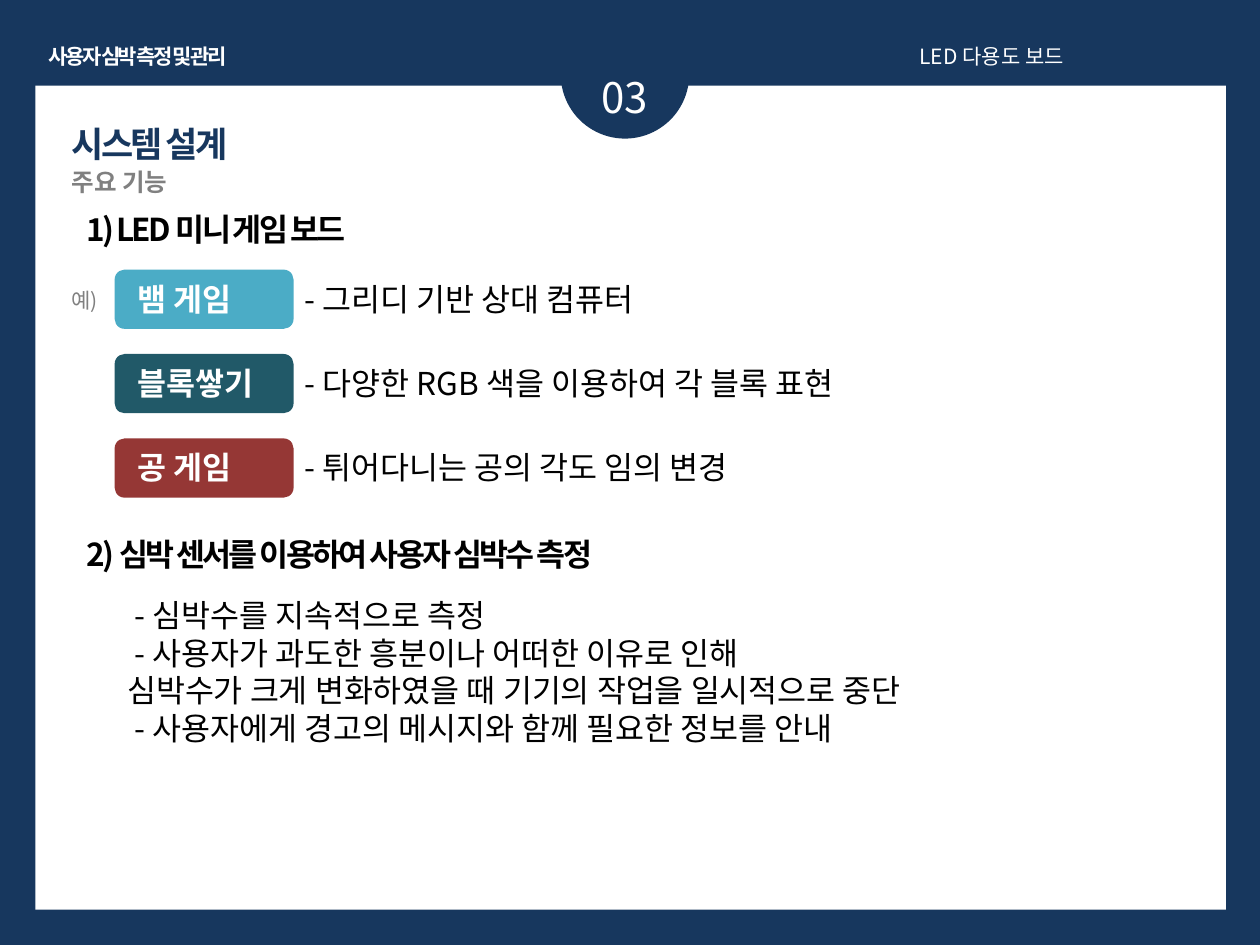
from dataclasses import dataclass

from pptx import Presentation
from pptx.dml.color import RGBColor
from pptx.enum.shapes import MSO_SHAPE
from pptx.enum.text import PP_ALIGN
from pptx.oxml.ns import qn
from pptx.util import Inches, Pt
from lxml.etree import SubElement


@dataclass(frozen=True)
class Theme:
    navy: str = "17375E"
    white: str = "FFFFFF"
    black: str = "000000"
    gray: str = "808080"
    aqua: str = "4BACC6"
    teal: str = "215968"
    red: str = "953735"
    font: str = "Noto Sans CJK KR"
    title_font: str = "Arial"
    number_size: int = 24
    title_size: int = 20
    body_size: int = 18
    subtitle_size: int = 14
    small_size: int = 12
    tight: float = -1.5
    line_height: float = 1.2


THEME = Theme()


def add_block(page, kind, box, color):
    block = page.shapes.add_shape(kind, *map(Inches, box))
    block.shadow.inherit = False
    block.fill.solid()
    block.fill.fore_color.rgb = RGBColor.from_string(color)
    block.line.fill.background()
    return block


def add_text(page, text, box, size=THEME.body_size, color=THEME.black, bold=False,
             font=THEME.font, align=PP_ALIGN.LEFT, spacing=0, wrap=True):
    """Write one paragraph per line; lines that open with a dash get a small indent."""
    frame = page.shapes.add_textbox(*map(Inches, box)).text_frame
    frame.word_wrap = wrap
    frame.margin_top = Inches(0.05)
    lines = text.split("\n")
    for index, line in enumerate(lines):
        para = frame.add_paragraph() if index else frame.paragraphs[0]
        para.alignment = align
        para.line_spacing = Pt(size * THEME.line_height)
        if len(lines) > 1 and line.startswith("-"):
            para._p.get_or_add_pPr().set("marL", str(Inches(0.06)))
        span = para.add_run()
        span.text = line
        span.font.size = Pt(size)
        span.font.bold = bold
        span.font.name = font
        span.font.color.rgb = RGBColor.from_string(color)
        properties = span._r.get_or_add_rPr()
        SubElement(properties, qn("a:ea")).set("typeface", THEME.font)
        if spacing:
            properties.set("spc", str(int(spacing * 100)))


def add_frame(page):
    # Navy border, white panel and number tab
    page.background.fill.solid()
    page.background.fill.fore_color.rgb = RGBColor.from_string(THEME.navy)
    add_block(page, MSO_SHAPE.RECTANGLE, (0.28, 0.68, 9.45, 6.54), THEME.white)
    add_block(page, MSO_SHAPE.OVAL, (4.45, 0.08, 1.02, 1.02), THEME.navy)
    add_text(page, "03", (4.37, 0.52, 1.18, 0.5), size=THEME.number_size,
             color=THEME.white, align=PP_ALIGN.CENTER)


def add_header(page, left, top):
    # Running titles
    add_text(page, "사용자 심박 측정 및 관리", (left, top, 1.83, 0.3),
             size=THEME.small_size, color=THEME.white, bold=True,
             align=PP_ALIGN.CENTER, spacing=THEME.tight, wrap=False)
    add_text(page, "LED 다용도 보드", (left + 7.02, top, 2.6, 0.3),
             size=THEME.small_size, color=THEME.white, align=PP_ALIGN.JUSTIFY)


def add_title(page, left, top):
    # Title and subtitle
    add_text(page, "시스템 설계", (left, top, 1.89, 0.44), size=THEME.title_size,
             color=THEME.navy, bold=True, font=THEME.title_font, spacing=THEME.tight)
    add_text(page, "주요 기능", (left, top + 0.36, 3.54, 0.34),
             size=THEME.subtitle_size, color=THEME.gray, bold=True)


def add_heading(page, text, left, top):
    add_text(page, text, (left, top, 7.4, 0.4), bold=True, spacing=THEME.tight)


def add_games(page, games, left, top, pitch):
    # Example label, then one colored tag and description per game
    add_text(page, "예)", (left - 0.44, top + 0.09, 0.86, 0.3),
             size=THEME.small_size, color=THEME.gray)
    for row, (name, color, description) in enumerate(games):
        y = top + row * pitch
        add_block(page, MSO_SHAPE.ROUNDED_RECTANGLE, (left, y, 1.42, 0.47), color)
        add_text(page, name, (left + 0.08, y + 0.03, 1.26, 0.4),
                 color=THEME.white, bold=True)
        add_text(page, description, (left + 1.41, y + 0.03, 6.69, 0.4))


def build_slide(deck):
    page = deck.slides.add_slide(deck.slide_layouts[6])
    add_frame(page)
    add_header(page, 0.18, 0.3)
    add_title(page, 0.47, 0.92)
    add_heading(page, "1) LED 미니 게임 보드", 0.59, 1.62)
    add_games(page, [
        ("뱀 게임", THEME.aqua, "- 그리디 기반 상대 컴퓨터"),
        ("블록쌓기", THEME.teal, "- 다양한 RGB 색을 이용하여 각 블록 표현"),
        ("공 게임", THEME.red, "- 튀어다니는 공의 각도 임의 변경"),
    ], left=0.91, top=2.14, pitch=0.67)
    add_heading(page, "2) 심박 센서를 이용하여 사용자 심박수 측정", 0.59, 4.2)
    # Heart rate details
    add_text(page, "- 심박수를 지속적으로 측정\n"
                   "- 사용자가 과도한 흥분이나 어떠한 이유로 인해\n"
                   "심박수가 크게 변화하였을 때 기기의 작업을 일시적으로 중단\n"
                   "- 사용자에게 경고의 메시지와 함께 필요한 정보를 안내",
             (0.91, 4.68, 6.69, 1.62))


deck = Presentation()
deck.slide_width, deck.slide_height = Inches(10), Inches(7.5)
build_slide(deck)
deck.save("out.pptx")
